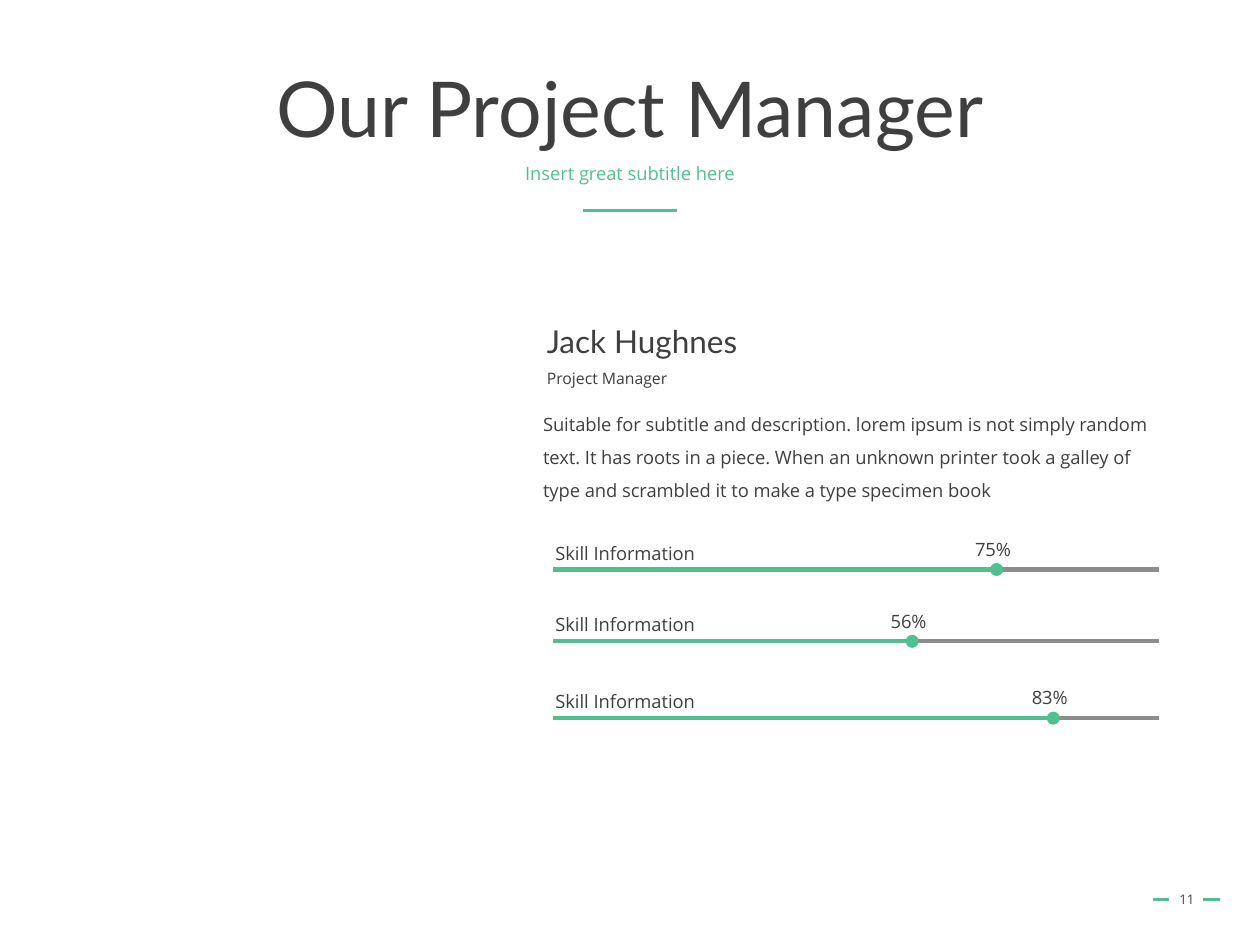
"""Build the project manager profile slide with three skill sliders."""
from dataclasses import dataclass

from lxml.etree import SubElement
from pptx import Presentation
from pptx.dml.color import RGBColor
from pptx.enum.shapes import MSO_CONNECTOR
from pptx.enum.text import MSO_ANCHOR, MSO_AUTO_SIZE, PP_ALIGN
from pptx.oxml.ns import qn
from pptx.util import Inches, Pt


@dataclass(frozen=True)
class Theme:
    heading: str = "Lato"
    text: str = "Open Sans"
    dark: str = "3F3F3F"
    accent: str = "52BF90"
    track: str = "8C8C8C"
    title_size: float = 44
    name_size: float = 18
    body_size: float = 10.5
    role_size: float = 9
    number_size: float = 7.5
    rule_width: float = 1.75
    bar_width: float = 2.5


THEME = Theme()
TITLE = "Our Project Manager"
SUBTITLE = "Insert great subtitle here"
NAME = "Jack Hughnes"
ROLE = "Project Manager"
BIO = (
    "Suitable for subtitle and description. lorem ipsum is not simply random text. "
    "It has roots in a piece. When an unknown printer took a galley of type and "
    "scrambled it to make a type specimen book"
)
PAGE_NUMBER = "11"
SKILLS = [
    ("Skill Information", "75%", 4.52, 7.91),
    ("Skill Information", "56%", 5.09, 7.24),
    ("Skill Information", "83%", 5.7, 8.36),
]
RULES = [(4.63, 5.37, 1.67), (9.15, 9.28, 7.14), (9.55, 9.68, 7.14)]
COLUMN_LEFT = 4.31
BAR_LEFT, BAR_RIGHT = 4.39, 9.2


def write(shape, text, size, font=THEME.text, color=THEME.dark, spacing=1.0,
          align=PP_ALIGN.LEFT, anchor=MSO_ANCHOR.TOP, inset=None, wrap=True,
          fit=MSO_AUTO_SIZE.NONE):
    frame = shape.text_frame
    frame.text = text
    frame.word_wrap = wrap
    frame.auto_size = fit
    frame.vertical_anchor = anchor
    if inset is not None:
        frame.margin_left = frame.margin_right = Inches(inset)
        frame.margin_top = frame.margin_bottom = Inches(inset)
    paragraph = frame.paragraphs[0]
    paragraph.alignment = align
    paragraph.line_spacing = spacing
    paragraph.font.name = font
    paragraph.font.size = Pt(size)
    paragraph.font.color.rgb = RGBColor.from_string(color)
    return paragraph


def place(shape, left, top, width, height):
    shape.left, shape.top = Inches(left), Inches(top)
    shape.width, shape.height = Inches(width), Inches(height)
    return shape


def add_text(slide, box, text, size, **style):
    return write(slide.shapes.add_textbox(*map(Inches, box)), text, size, **style)


def add_rule(slide, start, end, y, color, width, knob=False):
    rule = slide.shapes.add_connector(
        MSO_CONNECTOR.STRAIGHT, Inches(start), Inches(y), Inches(end), Inches(y))
    rule.line.color.rgb = RGBColor.from_string(color)
    rule.line.width = Pt(width)
    if knob:
        SubElement(rule.line._get_or_add_ln(), qn("a:tailEnd"), type="oval")
    SubElement(rule._element.spPr, qn("a:effectLst"))


def add_heading(slide):
    title, subtitle = slide.placeholders
    write(place(title, 0.69, 0.4, 8.62, 0.98), TITLE, THEME.title_size,
          font=THEME.heading, spacing=0.9, align=PP_ALIGN.CENTER,
          anchor=MSO_ANCHOR.MIDDLE)
    line = write(place(subtitle, 0.69, 1.26, 8.62, 0.4), SUBTITLE, THEME.body_size,
                 color=THEME.accent, spacing=0.9, align=PP_ALIGN.CENTER)
    line.space_before = Pt(10)
    properties = line._p.get_or_add_pPr()
    properties.set("marL", "0")
    properties.set("indent", "0")
    properties.insert_element_before(
        properties.makeelement(qn("a:buNone"), {}), "a:tabLst", "a:defRPr", "a:extLst")


def add_profile(slide):
    label = dict(anchor=MSO_ANCHOR.MIDDLE, inset=0.03, wrap=False,
                 fit=MSO_AUTO_SIZE.SHAPE_TO_FIT_TEXT)
    add_text(slide, (COLUMN_LEFT, 2.56, 1.59, 0.33), NAME, THEME.name_size,
             font=THEME.heading, spacing=0.9, **label)
    add_text(slide, (COLUMN_LEFT, 2.87, 1.02, 0.24), ROLE, THEME.role_size,
             spacing=1.2, **label)
    add_text(slide, (COLUMN_LEFT, 3.19, 4.85, 0.8), BIO, THEME.body_size,
             spacing=1.5, inset=0, fit=MSO_AUTO_SIZE.SHAPE_TO_FIT_TEXT)


def add_skill(slide, skill, percent, y, end):
    label = dict(wrap=False, fit=MSO_AUTO_SIZE.SHAPE_TO_FIT_TEXT)
    add_rule(slide, BAR_LEFT, BAR_RIGHT, y, THEME.track, THEME.bar_width)
    add_rule(slide, BAR_LEFT, end, y, THEME.accent, THEME.bar_width, knob=True)
    add_text(slide, (COLUMN_LEFT, y - 0.27, 1.33, 0.28), skill, THEME.body_size, **label)
    add_text(slide, (end - 0.27, y - 0.3, 0.49, 0.28), percent, THEME.body_size, **label)


def main():
    deck = Presentation()
    deck.slide_width, deck.slide_height = Inches(10), Inches(7.5)
    slide = deck.slides.add_slide(deck.slide_layouts[1])
    add_heading(slide)
    for start, end, y in RULES:
        add_rule(slide, start, end, y, THEME.accent, THEME.rule_width)
    add_text(slide, (9.2, 6.94, 0.44, 0.4), PAGE_NUMBER, THEME.number_size,
             align=PP_ALIGN.CENTER, anchor=MSO_ANCHOR.MIDDLE)
    add_profile(slide)
    for skill in SKILLS:
        add_skill(slide, *skill)
    deck.save("out.pptx")


if __name__ == "__main__":
    main()
